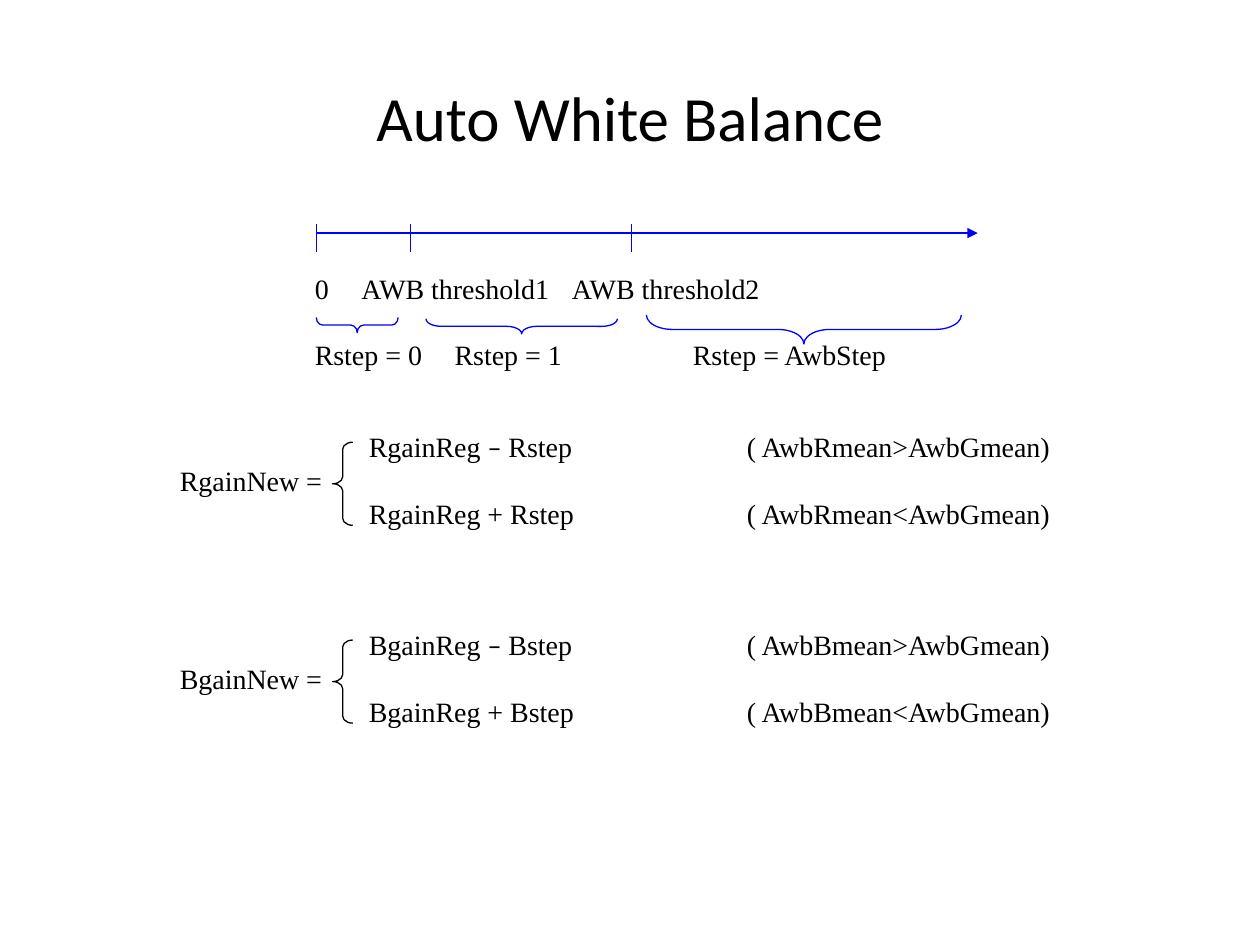
"""Build the Auto White Balance slide with its step scale and gain formulas."""
import pptx
import pptx.dml.color
import pptx.enum.shapes
import pptx.enum.text
import pptx.oxml.ns
import pptx.util
from lxml import etree

Inches = pptx.util.Inches
Pt = pptx.util.Pt
COLORS = {"scale": "0000FF", "text": "000000"}
SERIF = "Times New Roman"
SANS = "Calibri"


def color(name):
    return pptx.dml.color.RGBColor.from_string(COLORS[name])


def style_line(shape, name):
    shape.line.color.rgb = color(name)
    shape.line.width = Pt(0.75)


def set_font(text_part, name, size):
    text_part.font.name = name
    text_part.font.size = Pt(size)
    text_part.font.color.rgb = color("text")


def add_title(slide, text):
    title = slide.shapes.title
    title.left, title.top, title.width, title.height = map(Inches, (0.5, 0.3, 9, 1.25))
    title.text_frame.text = text
    title.text_frame.vertical_anchor = pptx.enum.text.MSO_ANCHOR.MIDDLE
    paragraph = title.text_frame.paragraphs[0]
    paragraph.alignment = pptx.enum.text.PP_ALIGN.CENTER
    set_font(paragraph, SANS, 36)


def add_line(slide, start, end, arrow=False):
    connector = slide.shapes.add_connector(
        pptx.enum.shapes.MSO_CONNECTOR.STRAIGHT, *map(Inches, start + end))
    style_line(connector, "scale")
    if arrow:
        etree.SubElement(connector.line._get_or_add_ln(),
                         pptx.oxml.ns.qn("a:tailEnd"), type="triangle")
    etree.SubElement(connector._element.spPr, pptx.oxml.ns.qn("a:effectLst"))


def add_brace(slide, kind, left, top, width, height, curve, line_color):
    brace = slide.shapes.add_shape(kind, *map(Inches, (left, top, width, height)))
    brace.shadow.inherit = False
    brace.fill.background()
    style_line(brace, line_color)
    brace.adjustments[0] = curve
    brace.adjustments[1] = 0.5
    return brace


def add_under_brace(slide, left, right, top, depth, curve):
    span = right - left
    brace = add_brace(slide, pptx.enum.shapes.MSO_SHAPE.RIGHT_BRACE,
                      (left + right - depth) / 2, top + (depth - span) / 2,
                      depth, span, curve, "scale")
    brace.rotation = 90


def add_text(slide, left, top, width, height, rows, indent=0):
    """Add a text box of rows, each a list of (text, font) runs."""
    box = slide.shapes.add_textbox(*map(Inches, (left, top, width, height)))
    frame = box.text_frame
    frame.word_wrap = True
    frame.vertical_anchor = pptx.enum.text.MSO_ANCHOR.MIDDLE
    for index, runs in enumerate(rows):
        paragraph = frame.add_paragraph() if index else frame.paragraphs[0]
        paragraph.line_spacing = Pt(19.2)
        properties = paragraph._p.get_or_add_pPr()
        properties.set("marL", "0")
        properties.set("indent", str(Inches(indent)))
        for text, font_name in runs:
            run = paragraph.add_run()
            run.text = text
            set_font(run, font_name, 16)


def add_scale(slide):
    add_line(slide, (2.51, 1.85), (7.76, 1.85), arrow=True)
    for x in (2.51, 3.26, 5.01):
        add_line(slide, (x, 1.78), (x, 2))
    for brace in ((2.51, 3.16, 2.52, 0.12, 0.43),
                  (3.38, 4.9, 2.53, 0.12, 1.01),
                  (5.13, 7.63, 2.5, 0.23, 0.9)):
        add_under_brace(slide, *brace)
    rows = {2.1: ((2.4, "0"), (2.77, "AWB threshold1"), (4.44, "AWB threshold2")),
            2.63: ((2.4, "Rstep = 0"), (3.51, "Rstep = 1"), (5.4, "Rstep = AwbStep"))}
    for top, labels in rows.items():
        for left, text in labels:
            width = 0.3 + 0.11 * len(text)
            add_text(slide, left, top, width, 0.37, [[(text, SERIF)]])


def add_gain_formula(slide, channel, top):
    gain, step = f"\t\t\t{channel}gainReg ", f" {channel}step\t\t\t"
    mean = f"( Awb{channel}mean"
    add_text(slide, 0.83, top, 8.74, 0.9, [
        [(gain, SERIF), ("–", SANS), (f"{step}{mean}>AwbGmean)", SERIF)],
        [(f"{channel}gainNew =", SERIF)],
        [(f"{gain}+{step}{mean}<AwbGmean)", SERIF)],
    ], indent=0.5)
    add_brace(slide, pptx.enum.shapes.MSO_SHAPE.LEFT_BRACE,
              2.64, top + 0.15, 0.16, 0.66, 0.35, "text")


def main():
    presentation = pptx.Presentation()
    presentation.slide_width = Inches(10)
    presentation.slide_height = Inches(7.5)
    slide = presentation.slides.add_slide(presentation.slide_layouts[5])
    add_title(slide, "Auto White Balance")
    add_scale(slide)
    for channel, top in (("R", 3.36), ("B", 4.93)):
        add_gain_formula(slide, channel, top)
    presentation.save("out.pptx")


if __name__ == "__main__":
    main()
